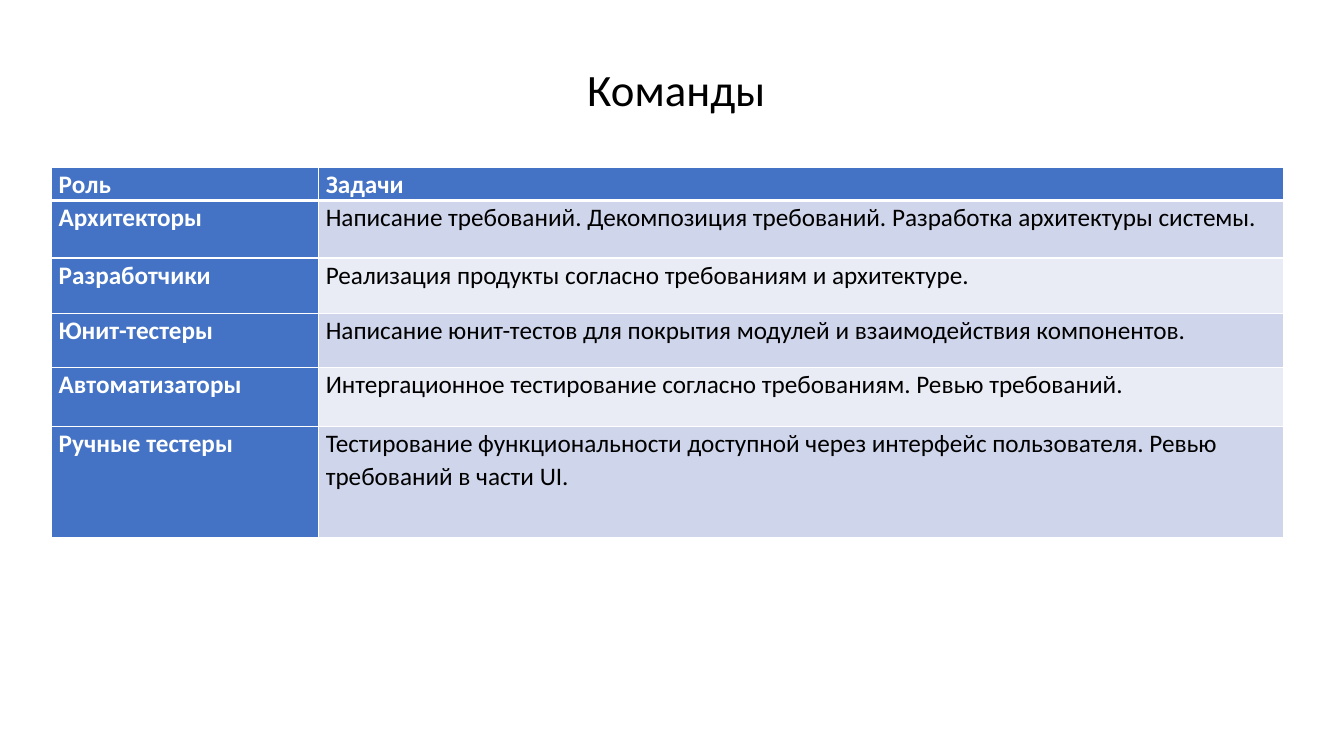
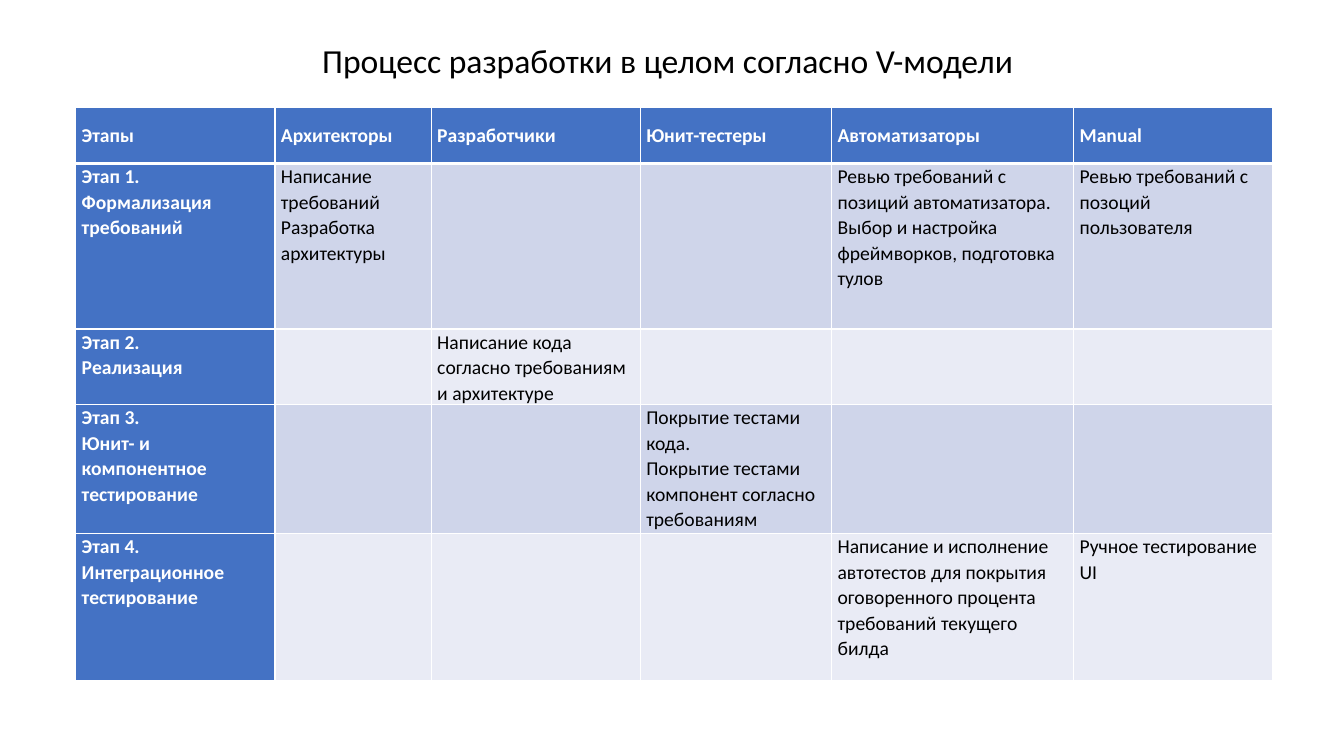
import pptx
import pptx.util
import pptx.dml.color
import pptx.enum.text
import pptx.oxml
import pptx.oxml.ns
from pptx.util import Cm

FONT = "Calibri"
WHITE, BLACK, HEADER = "FFFFFF", "000000", "4472C4"
BANDS = ("CFD5EA", "E9EBF5")
LINE_SPACING = 1.07
TOP, MIDDLE = pptx.enum.text.MSO_ANCHOR.TOP, pptx.enum.text.MSO_ANCHOR.MIDDLE

teams = {
    "title": dict(text="Команды", box=(14.55, 1.42, 5.05, 1.63), size=32, spacing=1, after=0),
    "origin": (1.3, 4.22),
    "columns": (6.73, 24.33),
    "heights": (0.76, 1.45, 1.4, 1.37, 1.47, 2.82),
    "size": 18,
    "inset": 0.18,
    "header_anchor": TOP,
    "rows": [
        ("Роль", "Задачи"),
        ("Архитекторы", "Написание требований. Декомпозиция требований. Разработка архитектуры системы."),
        ("Разработчики", "Реализация продукты согласно требованиям и архитектуре."),
        ("Юнит-тестеры", "Написание юнит-тестов для покрытия модулей и взаимодействия компонентов."),
        ("Автоматизаторы", "Интергационное тестирование согласно требованиям. Ревью требований."),
        ("Ручные тестеры", "Тестирование функциональности доступной через интерфейс пользователя. "
                           "Ревью требований в части UI."),
    ],
}

process = {
    "title": dict(text="Процесс разработки в целом согласно V-модели",
                  box=(7.87, 0.81, 18.14, 1.3), size=24, spacing=LINE_SPACING, after=8),
    "origin": (1.91, 2.7),
    "columns": (5.02, 3.94, 5.27, 4.82, 6.1, 5.02),
    "heights": (1.42, 4.17, 1.87, 3.25, 3.71),
    "size": 14,
    "inset": 0.15,
    "header_anchor": MIDDLE,
    "rows": [
        ("Этапы", "Архитекторы", "Разработчики", "Юнит-тестеры", "Автоматизаторы", "Manual"),
        ("Этап 1. Формализация требований", "Написание требований\nРазработка архитектуры", "", "",
         "Ревью требований с позиций автоматизатора.\n"
         "Выбор и настройка фреймворков, подготовка тулов",
         "Ревью требований с позоций пользователя"),
        ("Этап 2.\nРеализация", "", "Написание кода согласно требованиям и архитектуре", "", "", ""),
        ("Этап 3.\nЮнит- и компонентное тестирование", "", "",
         "Покрытие тестами кода.\nПокрытие тестами компонент согласно требованиям", "", ""),
        ("Этап 4.\nИнтеграционное тестирование", "", "", "",
         "Написание и исполнение автотестов для покрытия оговоренного процента "
         "требований текущего билда",
         "Ручное тестирование UI"),
    ],
}


def color(value):
    return pptx.dml.color.RGBColor.from_string(value)


def style(paragraph, size, ink, bold=False, spacing=LINE_SPACING, after=0):
    font = paragraph.font
    font.name, font.size, font.bold = FONT, pptx.util.Pt(size), bold
    font.color.rgb = color(ink)
    paragraph.line_spacing = spacing
    paragraph.space_after = pptx.util.Pt(after)


def add_title(slide, text, box, size, spacing, after):
    frame = slide.shapes.add_textbox(*map(Cm, box)).text_frame
    frame.word_wrap = False
    frame.auto_size = pptx.enum.text.MSO_AUTO_SIZE.SHAPE_TO_FIT_TEXT
    frame.text = text
    style(frame.paragraphs[0], size, BLACK, spacing=spacing, after=after)


def add_borders(cell, row):
    widths = {"L": 1, "R": 1, "T": 3 if row == 1 else 1, "B": 3 if row == 0 else 1}
    properties = cell._tc.get_or_add_tcPr()
    for side, width in widths.items():
        properties.append(pptx.oxml.parse_xml(
            f'<a:ln{side} {pptx.oxml.ns.nsdecls("a")} w="{pptx.util.Pt(width)}">'
            f'<a:solidFill><a:srgbClr val="{WHITE}"/></a:solidFill></a:ln{side}>'))


def add_grid(slide, content):
    rows, columns, heights = content["rows"], content["columns"], content["heights"]
    extent = (sum(columns), sum(heights))
    table = slide.shapes.add_table(
        len(rows), len(columns), *map(Cm, content["origin"] + extent)).table
    table.first_row = table.horz_banding = False
    for column, width in zip(table.columns, columns):
        column.width = Cm(width)
    for r, (texts, height) in enumerate(zip(rows, heights)):
        table.rows[r].height = Cm(height)
        for c, text in enumerate(texts):
            cell = table.cell(r, c)
            heading = r == 0 or c == 0
            add_borders(cell, r)
            cell.fill.solid()
            cell.fill.fore_color.rgb = color(HEADER if heading else BANDS[(r - 1) % 2])
            cell.margin_left = cell.margin_right = Cm(content["inset"])
            cell.margin_top = cell.margin_bottom = 0
            cell.vertical_anchor = content["header_anchor"] if r == 0 else TOP
            cell.text = text
            for paragraph in cell.text_frame.paragraphs:
                style(paragraph, content["size"], WHITE if heading else BLACK, heading)


deck = pptx.Presentation()
deck.slide_width, deck.slide_height = Cm(33.87), Cm(19.05)
for content in (teams, process):
    slide = deck.slides.add_slide(deck.slide_layouts[6])
    add_grid(slide, content)
    add_title(slide, **content["title"])
deck.save("out.pptx")
